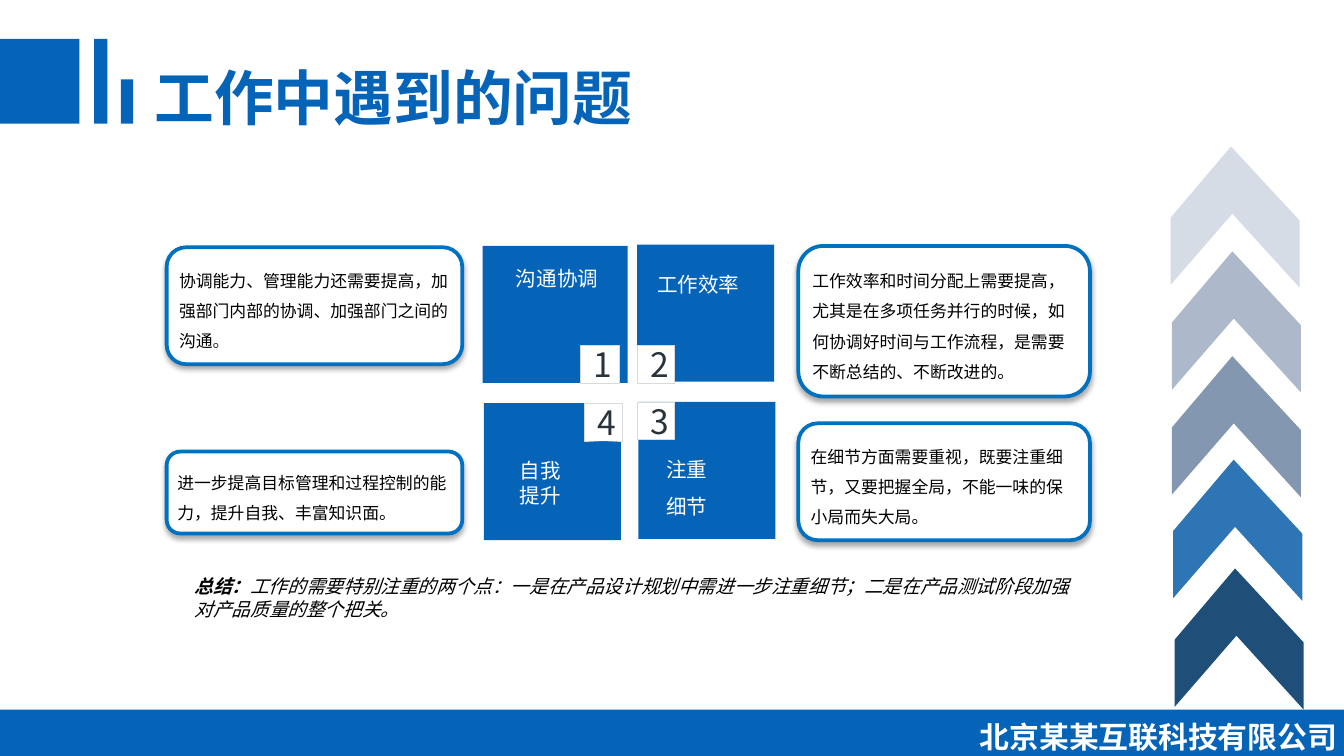
from lxml import etree
from pptx import Presentation
from pptx.dml.color import RGBColor
from pptx.enum.shapes import MSO_SHAPE
from pptx.enum.text import MSO_ANCHOR, PP_ALIGN
from pptx.oxml.ns import qn
from pptx.util import Inches, Pt

RECTANGLE = MSO_SHAPE.RECTANGLE
ROUNDED = MSO_SHAPE.ROUNDED_RECTANGLE
MIDDLE = MSO_ANCHOR.MIDDLE
LEFT, CENTER, RIGHT = PP_ALIGN.LEFT, PP_ALIGN.CENTER, PP_ALIGN.RIGHT
SANS, BODY = "Noto Sans CJK SC", "Calibri"
BLUE, WHITE, BLACK = "0563B8", "FFFFFF", "000000"

CHEVRON = [(0.96, 0.55), (0.96, 1.05), (0.46, 0.5), (0, 1.03), (0, 0.53), (0.45, 0)]
CHEVRONS = [
    (8.74, 4.23, "1F4E79"),
    (8.73, 3.42, "2E75B6"),
    (8.72, 2.65, "8497B0"),
    (8.72, 1.87, "ADB9CA"),
    (8.71, 1.09, "D6DCE5"),
]
BARS = [
    (0, 0.29, 0.59, 0.63),
    (0.7, 0.29, 0.1, 0.63),
    (0.9, 0.59, 0.09, 0.33),
]
FOOTER = (0, 5.28, 10, 0.36)
TILES = [
    ("1", (3.59, 1.83, 1.08, 1.02), (4.32, 2.57, 0.29, 0.28),
     "沟通协调", (3.74, 1.84, 0.82, 0.35), 1.5),
    ("2", (4.74, 1.82, 1.02, 1.02), (4.74, 2.57, 0.28, 0.28),
     "工作效率", (4.79, 1.88, 0.89, 0.24), 1.5),
    ("4", (3.6, 3, 1.02, 1.02), (4.35, 3, 0.28, 0.28),
     "自我提升", (3.77, 3.36, 0.57, 0.2), 1),
    ("3", (4.75, 2.99, 1.02, 1.02), (4.74, 2.99, 0.28, 0.28),
     "注重细节", (4.86, 3.26, 0.57, 0.24), 1.5),
]
CARDS = [
    ((1.24, 1.84, 2.2, 0.87),
     ["协调能力、管理能力还需要提高，加强部门内部的协调、加强部门之间的沟通", "。"]),
    ((1.24, 3.36, 2.2, 0.61),
     ["进一步提高目标管理和过程控制的能力，提升自我、丰富知识面。"]),
    ((5.94, 3.15, 2.17, 0.87),
     ["在细节方面需要重视，既要注重细节，又要把握全局，不能一味的保小局而失大局。"]),
    ((5.94, 1.83, 2.17, 1.12),
     ["工作效率和时间分配上需要提高，尤其是在多项任务并行的时候，"
      "如何协调好时间与工作流程，是需要不断总结的、不断改进的。"]),
]
SUMMARY = [
    "总结：",
    "工作的需要特别注重的两个点：一是在产品设计规划中需进一步注重细节；"
    "二是在产品测试阶段加强对产品质量的整个把关。",
]


def rgb(color):
    return RGBColor.from_string(color)


def inches(values):
    return [Inches(value) for value in values]


def write(box, spans, size, color, font=SANS, align=LEFT, spacing=1.0, inset=None):
    frame = box.text_frame
    frame.word_wrap = True
    if inset is not None:
        frame.margin_left = frame.margin_right = Inches(inset)
        frame.margin_top = frame.margin_bottom = Inches(inset)
    para = frame.paragraphs[0]
    para.alignment = align
    para.line_spacing = spacing
    para.font.name = font
    para.font.size = Pt(size)
    para.font.color.rgb = rgb(color)
    for text in spans:
        para.add_run().text = text
    return para


def add_text(page, place, spans, size, color, **style):
    box = page.shapes.add_textbox(*inches(place))
    return write(box, spans, size, color, **style)


def paint(shape, fill, line=None, width=0):
    shape.shadow.inherit = False
    shape.fill.solid()
    shape.fill.fore_color.rgb = rgb(fill)
    if line:
        shape.line.color.rgb = rgb(line)
        shape.line.width = Pt(width)
    else:
        shape.line.fill.background()


def add_box(page, place, fill, line=None, width=0, kind=RECTANGLE):
    box = page.shapes.add_shape(kind, *inches(place))
    paint(box, fill, line, width)
    return box


def add_chevron(page, left, top, color):
    points = [inches((left + x, top + y)) for x, y in CHEVRON]
    builder = page.shapes.build_freeform(*points[0])
    builder.add_line_segments(points[1:], close=True)
    paint(builder.convert_to_shape(), color)


def add_drop_shadow(box):
    effects = box._element.spPr.find(qn("a:effectLst"))
    shadow = etree.SubElement(
        effects, qn("a:outerShdw"), blurRad=str(Pt(3)), dist=str(Pt(1.8)),
        dir="5400000", algn="t", rotWithShape="0")
    tint = etree.SubElement(shadow, qn("a:srgbClr"), val=BLACK)
    etree.SubElement(tint, qn("a:alpha"), val="35000")


def add_tile(page, number, place, badge_place, label, label_place, spacing):
    add_box(page, place, BLUE)
    badge = add_box(page, badge_place, WHITE, "D9D9D9", 0.25)
    badge.text_frame.vertical_anchor = MIDDLE
    write(badge, [number], 18, "28333C", align=CENTER)
    add_text(page, label_place, [label], 11, WHITE, spacing=spacing)


def add_card(page, place, spans):
    card = add_box(page, place, WHITE, "0070C0", 2, ROUNDED)
    add_drop_shadow(card)
    card.text_frame.vertical_anchor = MIDDLE
    para = write(card, spans, 9, BLACK, font=BODY, spacing=1.5, inset=0.05)
    for span in para.runs[1:]:
        span.font.name = SANS
        span.font.color.rgb = rgb("262626")


def add_summary(page):
    para = add_text(page, (1.35, 4.23, 6.76, 0.44), SUMMARY, 10, BLACK, font=BODY)
    para.font.italic = True
    para.runs[0].font.bold = True


def main():
    deck = Presentation()
    deck.slide_width = Inches(10)
    deck.slide_height = deck.slide_width * 9 // 16
    page = deck.slides.add_slide(deck.slide_layouts[6])
    for chevron in CHEVRONS:
        add_chevron(page, *chevron)
    for place in BARS:
        add_box(page, place, BLUE)
    title = add_text(page, (1.05, 0.4, 8.07, 0.64), ["工作中遇到的问题"], 32, BLUE)
    title.font.bold = True
    add_box(page, FOOTER, BLUE)
    company = add_text(page, (6.65, 5.3, 3.35, 0.37), ["北京某某互联科技有限公司"],
                       16, WHITE, align=RIGHT, inset=0.05)
    company.font.bold = True
    for tile in TILES:
        add_tile(page, *tile)
    for card in CARDS:
        add_card(page, *card)
    add_summary(page)
    deck.save("out.pptx")


if __name__ == "__main__":
    main()
